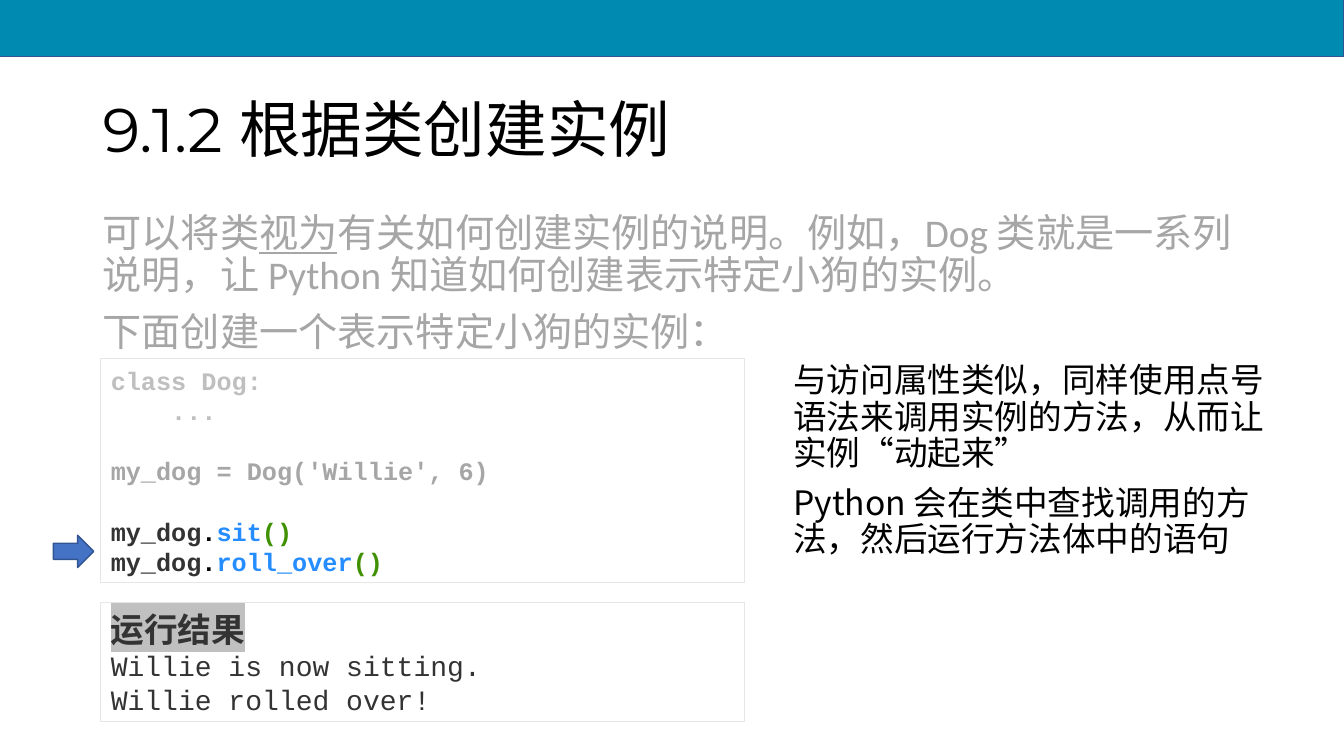
from copy import deepcopy

from lxml import etree
from pptx import Presentation
from pptx.dml.color import RGBColor
from pptx.enum.shapes import MSO_SHAPE
from pptx.enum.text import MSO_ANCHOR, PP_ALIGN
from pptx.oxml.ns import qn
from pptx.util import Inches, Pt

RECT, ARROW = MSO_SHAPE.RECTANGLE, MSO_SHAPE.RIGHT_ARROW
TOP, MIDDLE, LEFT = MSO_ANCHOR.TOP, MSO_ANCHOR.MIDDLE, PP_ALIGN.LEFT
CJK, MONO = "Noto Sans CJK SC", "Courier New"
COLORS = {
    "band": "008AB1", "outline": "325491", "arrow": "4472C4", "frame": "E7E6E6",
    "black": "000000", "dark": "333333", "gray": "A6A6A6", "pale": "BFBFBF",
    "green": "3F9101", "blue": "258DFF", "mark": "C0C0C0",
}


def rgb(name):
    return RGBColor.from_string(COLORS[name])


def add_run(p, text, size=18, font=CJK, color="black", bold=False,
            underline=False, highlight=None):
    """Add text in one format; each newline becomes a line break."""
    for i, line in enumerate(text.split("\n")):
        if i:
            p.add_line_break()
            br = p._p.findall(qn("a:br"))[-1]
        r = p.add_run()
        r.text = line
        f = r.font
        f.size, f.bold, f.underline = Pt(size), bold, underline
        f.color.rgb = rgb(color)
        f.name = font
        rpr = r._r.rPr
        ea = etree.Element(qn("a:ea"), typeface=CJK)
        rpr.find(qn("a:latin")).addnext(ea)
        if highlight:
            mark = etree.Element(qn("a:highlight"))
            etree.SubElement(mark, qn("a:srgbClr"), val=COLORS[highlight])
            rpr.find(qn("a:solidFill")).addnext(mark)
        if i:
            br.insert(0, deepcopy(rpr))
        if not line:
            p._p.remove(r._r)


def fill_text(tf, paragraphs, anchor=TOP, spacing=None, gap=0, **fmt):
    """Each paragraph is a list of (text, format changes) pairs."""
    tf.word_wrap = True
    tf.vertical_anchor = anchor
    for i, runs in enumerate(paragraphs):
        p = tf.paragraphs[0] if i == 0 else tf.add_paragraph()
        p.alignment = LEFT
        if spacing:
            p.line_spacing = spacing
        if i and gap:
            p.space_before = Pt(gap)
        for text, changes in runs:
            add_run(p, text, **{**fmt, **changes})


def add_box(slide, kind, box, fill=None, line="outline", width=1):
    s = slide.shapes.add_shape(kind, *map(Inches, box))
    s.shadow.inherit = False
    if fill:
        s.fill.solid()
        s.fill.fore_color.rgb = rgb(fill)
    else:
        s.fill.background()
    s.line.color.rgb = rgb(line)
    s.line.width = Pt(width)
    return s


def add_label(slide, box, paragraphs, **fmt):
    s = slide.shapes.add_textbox(*map(Inches, box))
    fill_text(s.text_frame, paragraphs, spacing=0.9, gap=10, **fmt)


def add_header(slide, box):
    left, top, width, height = box
    add_box(slide, RECT, (left, top, width, 0.58), fill="band")
    add_label(slide, (left + 0.94, top + 0.79, 11.5, height - 0.79),
              [[("9.1.2 根据类创建实例", {})]],
              anchor=MIDDLE, size=44, font="Montserrat")


def add_intro(slide, box):
    add_label(slide, box, [
        [("可以将类", {}), ("视为", {"underline": True}),
         ("有关如何创建实例的说明。例如，Dog 类就是一系列说明，"
          "让 Python 知道如何创建表示特定小狗的实例。", {})],
        [("下面创建一个表示特定小狗的实例：", {"font": MONO})],
    ], size=28, font="Calibri", color="gray")


def method_call(method, end=""):
    return [("my_dog", {"color": "dark"}), (".", {}),
            (method, {"color": "blue"}), ("()" + end, {"color": "green"})]


def add_code(slide, box):
    left, top, _, _ = box
    add_box(slide, ARROW, (left - 0.47, top + 1.75, 0.4, 0.32), fill="arrow")
    s = add_box(slide, RECT, box, line="frame", width=0.75)
    code = [("class Dog:\n    ...\n\n", {"color": "pale"}),
            ("my_dog = Dog('Willie', 6)\n\n", {"color": "gray"})]
    code += method_call("sit", "\n") + method_call("roll_over")
    fill_text(s.text_frame, [code], anchor=MIDDLE, font=MONO, bold=True)


def add_result(slide, box):
    s = add_box(slide, RECT, box, line="frame", width=0.75)
    fill_text(s.text_frame, [
        [("运行结果", {"size": 24, "bold": True, "highlight": "mark"})],
        [("Willie is now sitting.", {})],
        [("Willie rolled over!", {})],
    ], anchor=MIDDLE, size=20, font=MONO, color="dark")


def add_notes_column(slide, box):
    add_label(slide, box, [
        [("与访问属性类似，同样使用点号语法来调用实例的方法，从而让实例“动起来”", {})],
        [("Python 会在类中查找调用的方法，然后运行方法体中的语句", {})],
    ], size=24)


def main():
    prs = Presentation()
    prs.slide_width, prs.slide_height = Inches(13.33), Inches(7.5)
    slide = prs.slides.add_slide(prs.slide_layouts[6])
    add_header(slide, (-0.02, -0.02, 13.35, 1.89))
    add_intro(slide, (0.92, 2.07, 11.5, 1.45))
    add_code(slide, (1, 3.56, 6.38, 2.22))
    add_notes_column(slide, (7.77, 3.56, 5.04, 2.9))
    add_result(slide, (1, 5.98, 6.38, 1.18))
    prs.save("out.pptx")


if __name__ == "__main__":
    main()
